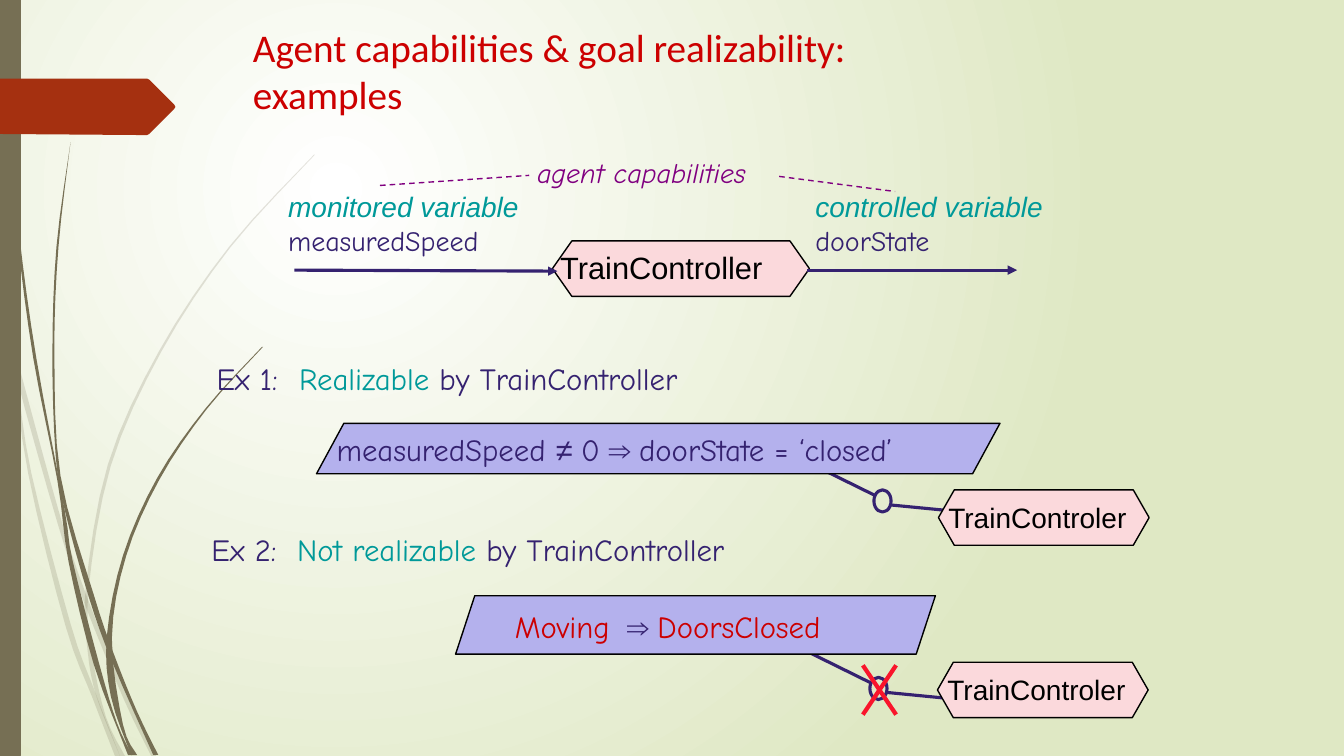
from dataclasses import dataclass

from lxml.etree import SubElement
from pptx import Presentation
from pptx.dml.color import RGBColor
from pptx.enum.dml import MSO_LINE_DASH_STYLE as Dash
from pptx.enum.shapes import MSO_CONNECTOR, MSO_SHAPE as Preset
from pptx.enum.text import MSO_ANCHOR, MSO_AUTO_SIZE as AutoSize, PP_ALIGN
from pptx.oxml.ns import qn
from pptx.util import Inches, Pt

CELL = Inches(0.1)  # one column or row of the layout grid
COLUMNS, ROWS = 133.33, 75
HAND, SANS = "Comic Neue", "Arial"
COLORS = {
    "white": "FFFFFF", "sage": "DFE8C4", "olive": "766F54", "rust": "A53010",
    "navy": "352270", "teal": "009999", "red": "CC0000", "cross": "F9152B",
    "purple": "800080", "goal": "B4B1ED", "agent": "FBD9DC", "black": "000000",
}


@dataclass
class Words:
    text: str
    color: str = "navy"
    font: str = HAND
    size: float = 22
    italic: bool = False


@dataclass
class Label:
    box: tuple  # left, top, width, height in cells
    paragraphs: list
    wrap: bool = True
    tab: float = 0
    inset: float = 1


@dataclass
class Block:
    preset: Preset
    box: tuple
    fill: str | None = None
    adjust: float | None = None
    line: str = "black"
    weight: float = 1


@dataclass
class Link:
    start: tuple
    end: tuple
    color: str = "navy"
    weight: float = 2.25
    dashed: bool = False
    arrow: bool = False


def cells(*values: float) -> list[int]:
    return [round(value * CELL) for value in values]


def rgb(name: str) -> RGBColor:
    return RGBColor.from_string(COLORS[name])


def smooth(points: list) -> list:
    """Pass a Catmull-Rom curve through the points."""
    padded = [points[0], *points, points[-1]]
    curve = [points[0]]
    for a, b, c, d in zip(padded, padded[1:], padded[2:], padded[3:]):
        for t in (0.25, 0.5, 0.75, 1):
            curve.append(tuple(
                (2 * q + (r - p) * t + (2 * p - 5 * q + 4 * r - s) * t ** 2
                 + (3 * q - p - 3 * r + s) * t ** 3) / 2
                for p, q, r, s in zip(a, b, c, d)))
    return curve


def draw_outline(slide, points: list, color: str, alpha: int = 100) -> None:
    corners = [cells(*point) for point in points]
    builder = slide.shapes.build_freeform(*corners[0])
    builder.add_line_segments(corners[1:], close=True)
    shape = builder.convert_to_shape()
    shape.shadow.inherit = False
    shape.fill.solid()
    shape.fill.fore_color.rgb = rgb(color)
    shape.line.fill.background()
    if alpha < 100:
        SubElement(shape.element.spPr.find(".//" + qn("a:srgbClr")),
                   qn("a:alpha"), val=str(alpha * 1000))


def draw_block(slide, block: Block) -> None:
    shape = slide.shapes.add_shape(block.preset, *cells(*block.box))
    shape.shadow.inherit = False
    if block.fill:
        shape.fill.solid()
        shape.fill.fore_color.rgb = rgb(block.fill)
    else:
        shape.fill.background()
    shape.line.color.rgb = rgb(block.line)
    shape.line.width = Pt(block.weight)
    if block.adjust is not None:
        shape.adjustments[0] = block.adjust


def draw_link(slide, link: Link) -> None:
    connector = slide.shapes.add_connector(
        MSO_CONNECTOR.STRAIGHT, *cells(*link.start, *link.end))
    connector.line.color.rgb = rgb(link.color)
    connector.line.width = Pt(link.weight)
    if link.dashed:
        connector.line.dash_style = Dash.DASH
    if link.arrow:
        SubElement(connector.line._get_or_add_ln(), qn("a:tailEnd"), type="triangle")
    SubElement(connector.element.spPr, qn("a:effectLst"))


def write(paragraph, words: Words) -> None:
    run = paragraph.add_run()
    run.text = words.text
    formats = {"name": words.font, "size": Pt(words.size), "italic": words.italic, "bold": False}
    for name, value in formats.items():
        setattr(run.font, name, value)
    run.font.color.rgb = rgb(words.color)


def draw_label(slide, label: Label) -> None:
    frame = slide.shapes.add_textbox(*cells(*label.box)).text_frame
    formats = {"word_wrap": label.wrap, "auto_size": AutoSize.SHAPE_TO_FIT_TEXT,
               "vertical_anchor": MSO_ANCHOR.MIDDLE, "margin_left": cells(label.inset)[0]}
    for name, value in formats.items():
        setattr(frame, name, value)
    for index, line in enumerate(label.paragraphs):
        paragraph = frame.add_paragraph() if index else frame.paragraphs[0]
        if label.tab:
            tabs = SubElement(paragraph._p.get_or_add_pPr(), qn("a:tabLst"))
            SubElement(tabs, qn("a:tab"), pos=str(cells(label.tab)[0]), algn="l")
        if index:
            paragraph.line_spacing, paragraph.space_before = 0.4, Pt(12.5)
        for words in line:
            write(paragraph, words)


def variable(left: float, kind: str, name: str) -> Label:
    return Label((left, 18.1, 28, 7.9), [[Words(kind, "teal", SANS, 20, True)], [Words(name, size=20)]])


def example(left: float, top: float, width: float, tab: float, number: str, verdict: str) -> Label:
    return Label((left, top, width, 4.7), [
        [Words(f"Ex {number}:\t"), Words(verdict, "teal"), Words(" by TrainController")]], tab=tab)


# Each wisp has a left and a right edge, from tip to root
PALE_WISPS = [
    ([(0, 29.9), (1, 34.4), (2.8, 47), (6.5, 62.1), (9.2, 69.3), (11.4, 75)],
     [(0, 28.2), (0.9, 32.2), (1.7, 37.6), (3.1, 46.9), (7, 61.9), (9.3, 68.3), (11.9, 75)]),
    ([(1.4, 34.5), (1.7, 37.6), (5.8, 52.2), (8.4, 59.9), (12.3, 69.4), (15, 75)],
     [(1.4, 34.5), (6.2, 52), (9.2, 60.7), (12.7, 69.2), (15.5, 75)]),
    ([(31.2, 15.3), (22.8, 24.4), (15.8, 34.8), (10.7, 46.1), (8.5, 58.4), (8.7, 64.6), (9.6, 69.2), (11.9, 75)],
     [(31.2, 15.4), (22.9, 24.5), (16, 34.9), (11, 46.2), (8.8, 58.4), (9.1, 64.6), (10.5, 71.1), (12.4, 75)]),
]
DARK_WISPS = [
    ([(0.3, 0), (0.7, 11), (1.7, 23.3), (3.3, 35.5), (5.7, 47.7), (6.8, 55.7), (9.3, 65.9), (12.7, 74.9)],
     [(0.4, 0), (0.8, 10.9), (1.9, 23.2), (3.6, 35.5), (6.4, 50.5), (7.2, 55.6), (9.8, 65.7), (11.6, 71.7),
      (13.1, 74.9)]),
    ([(7, 14.1), (5.6, 24.5), (5.2, 34.9), (5.5, 44.9), (6.4, 50.5), (8.8, 59.2), (11.1, 65.6), (15.2, 74.9)],
     [(7, 14.1), (5.8, 24.5), (5.4, 34.9), (6, 47.2), (9.3, 59), (11.3, 64.9), (13.6, 70.6), (15.7, 74.9)]),
    ([(26, 34.4), (20.4, 40.5), (15.6, 47.4), (12.2, 55.1), (10.6, 63.1), (11, 69.1), (13, 74.9)],
     [(26.1, 34.4), (20.5, 40.6), (15.8, 47.6), (12.5, 55.2), (11.1, 63.3), (12.2, 71.9), (13.6, 74.9)]),
]
RIBBON = [(0, 7.8), (14.6, 7.8), (14.8, 7.9), (17.3, 10.4), (17.4, 10.6), (17.3, 10.8),
          (14.8, 13.3), (14.6, 13.4), (13.6, 13.4), (0, 13.3)]

# Left and top of each responsibility link, and its agent
RESPONSIBILITIES = [((79.6, 45.6), (93.1, 48.6)), ((79.2, 64.2), (93, 65.7))]

GOALS = [Block(Preset.PARALLELOGRAM, (31.4, 42, 67.8, 5), "goal", 0.542),
         Block(Preset.PARALLELOGRAM, (45.2, 59.1, 47.6, 5.8), "goal", 0.328)]
CONTROLLER = Block(Preset.HEXAGON, (54.8, 23.9, 25.5, 5.5), "agent", 0.351)

LABELS = [
    example(20.5, 35.2, 74.9, 8.2, "1", "Realizable"),
    example(20, 52.1, 80.4, 8.5, "2", "Not realizable"),
    Label((31.1, 42, 65.1, 5.1), [[
        Words("measuredSpeed "), Words("≠ ", font=SANS), Words("0"),
        Words(" ⇒ ", font=SANS), Words("doorState = ‘closed’")]], wrap=False, inset=2.3),
    Label((50.1, 59.8, 35.3, 4.7), [[
        Words("Moving", "red"), Words("\t⇒ ", font=SANS), Words("DoorsClosed", "red")]],
        wrap=False, tab=11.1),
    Label((54.6, 24.2, 26, 4.7), [[Words("TrainController", "black", SANS)]]),
    variable(27.6, "monitored variable", "measuredSpeed"),
    variable(79.9, "controlled variable", "doorState"),
    Label((52.3, 14.9, 28, 4.4), [[Words("agent capabilities", "purple", size=20, italic=True)]]),
]
LINKS = [
    Link((80.1, 26.8), (100.9, 26.8), arrow=True),
    Link((29.2, 26.8), (55.3, 26.9), arrow=True),
    Link((37.7, 18.4), (52.5, 17.4), "purple", 1, dashed=True),
    Link((77.3, 17.5), (88.8, 19), "purple", 1, dashed=True),
    Link((88.9, 66), (85.6, 70.9), "cross", 3),
    Link((85.6, 66), (88.9, 70.9), "cross", 3),
]


def main() -> None:
    presentation = Presentation()
    presentation.slide_width, presentation.slide_height = cells(COLUMNS, ROWS)
    slide = presentation.slides.add_slide(presentation.slide_layouts[5])

    # Background glow
    fill = slide.background.fill
    fill.gradient()
    for stop, position, color in zip(fill.gradient_stops, (0, 1), ("white", "sage")):
        stop.position, stop.color.rgb = position, rgb(color)
    linear = slide.element.find(".//" + qn("a:lin"))
    glow = SubElement(linear.getparent(), qn("a:path"), path="circle")
    SubElement(glow, qn("a:fillToRect"), l="50000", t="50000", r="100000", b="100000")
    linear.getparent().remove(linear)

    # Wisps, side bar and ribbon
    for wisps, alpha in ((PALE_WISPS, 20), (DARK_WISPS, 100)):
        for left_edge, right_edge in wisps:
            draw_outline(slide, smooth(left_edge) + smooth(right_edge)[::-1], "olive", alpha)
    draw_block(slide, Block(Preset.RECTANGLE, (0, 0, 2, ROWS), "olive", line="olive", weight=0))
    draw_outline(slide, RIBBON, "rust")

    # Title
    title = slide.shapes.title
    title.left, title.top, title.width, title.height = cells(24.1, 2.8, 90.5, 8.3)
    title.text_frame.auto_size = AutoSize.NONE
    title.text_frame.vertical_anchor = MSO_ANCHOR.MIDDLE
    paragraph = title.text_frame.paragraphs[0]
    paragraph.alignment = PP_ALIGN.LEFT
    write(paragraph, Words("Agent capabilities & goal realizability: ", "red", "Calibri", 28))
    paragraph.add_line_break()
    write(paragraph, Words("examples", "red", "Calibri", 28))

    # Responsibility links, goals and agents
    for (x, y), (left, top) in RESPONSIBILITIES:
        draw_link(slide, Link((x, y), (x + 7.3, y + 3.6)))
        draw_block(slide, Block(Preset.OVAL, (x + 7.1, y + 3, 1.7, 2.2), line="navy", weight=2.25))
        draw_link(slide, Link((x + 8.8, y + 4.5), (x + 20.1, y + 5.6)))
        draw_block(slide, Block(Preset.HEXAGON, (left, top, 20.9, 5.5), "agent", 0.286))
        draw_label(slide, Label((left, top + 0.5, 20.7, 4.4), [[Words("TrainControler", "black", SANS, 20)]]))
    for block in (*GOALS, CONTROLLER):
        draw_block(slide, block)

    # Wording, arrows and cross
    for label in LABELS:
        draw_label(slide, label)
    for link in LINKS:
        draw_link(slide, link)

    presentation.save("out.pptx")


if __name__ == "__main__":
    main()
